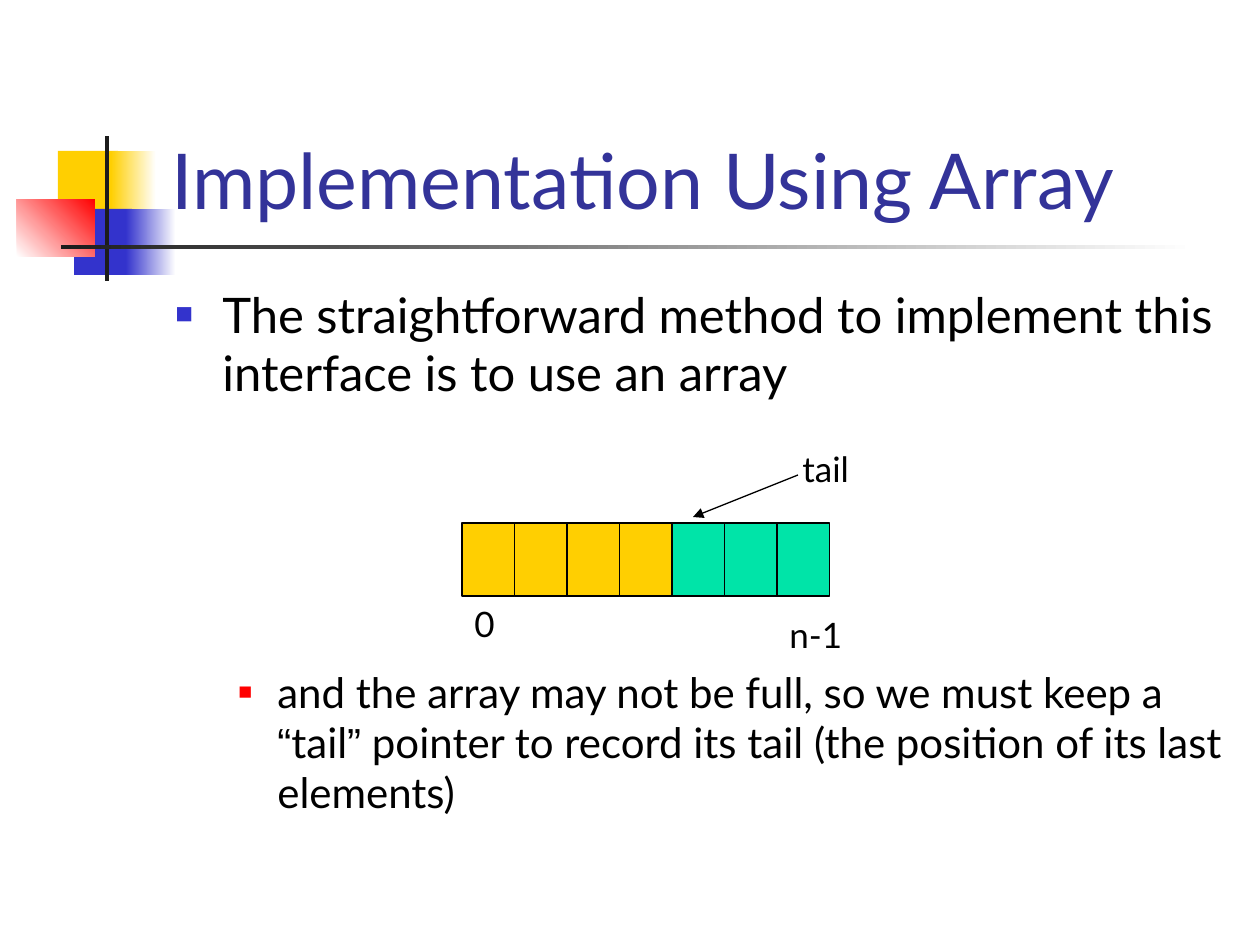
import pptx
import pptx.dml.color
import pptx.enum.shapes
import pptx.enum.text
import pptx.oxml.ns
import pptx.util
from lxml import etree

RGB = pptx.dml.color.RGBColor
BLACK = RGB(0x00, 0x00, 0x00)
WHITE = RGB(0xFF, 0xFF, 0xFF)
CHARCOAL = RGB(0x1C, 0x1C, 0x1C)
YELLOW = RGB(0xFF, 0xCF, 0x01)
GREEN = RGB(0x00, 0xE4, 0xA8)
BLUE = RGB(0x33, 0x33, 0xCC)
RED = RGB(0xFF, 0x00, 0x00)
TITLE_BLUE = RGB(0x33, 0x33, 0x99)

EMU_PER_PX = 914400 / 126
CELL_LEFT, CELL_TOP, CELL_HEIGHT = 462, 523, 73
CELL_PITCH = 52.5
USED_CELLS, FREE_CELLS = 4, 3


def px(length):
    return pptx.util.Emu(round(length * EMU_PER_PX))


def add_child(parent, tag, **attributes):
    return etree.SubElement(parent, pptx.oxml.ns.qn(tag), **attributes)


def add_block(slide, left, top, width, height, *colours, angle=0, outline=None):
    """Add a rectangle with one colour, or a gradient between two."""
    block = slide.shapes.add_shape(
        pptx.enum.shapes.MSO_SHAPE.RECTANGLE,
        px(left), px(top), px(width), px(height))
    block.shadow.inherit = False
    if len(colours) == 1:
        block.fill.solid()
        block.fill.fore_color.rgb = colours[0]
    else:
        block.fill.gradient()
        block.fill.gradient_angle = angle
        for stop, colour, position in zip(block.fill.gradient_stops, colours, (0, 1)):
            stop.color.rgb = colour
            stop.position = position
    if outline is None:
        block.line.fill.background()
    else:
        block.line.color.rgb = outline
        block.line.width = pptx.util.Pt(0.75)


def add_frame(slide, left, top, width, height, anchor=pptx.enum.text.MSO_ANCHOR.TOP):
    frame = slide.shapes.add_textbox(px(left), px(top), px(width), px(height)).text_frame
    frame.word_wrap = True
    frame.vertical_anchor = anchor
    return frame


def write_text(paragraph, text, size=20, colour=BLACK, font="Lato"):
    run = paragraph.add_run()
    run.text = text
    run.font.size = pptx.util.Pt(size)
    run.font.name = font
    run.font.color.rgb = colour


def set_bullet(paragraph, colour, percent, margin, hanging):
    properties = paragraph._p.get_or_add_pPr()
    properties.set("marL", str(px(margin)))
    properties.set("indent", str(-px(hanging)))
    add_child(add_child(properties, "a:buClr"), "a:srgbClr", val=str(colour))
    add_child(properties, "a:buSzPct", val=str(percent * 1000))
    add_child(properties, "a:buFont", typeface="Arial")
    add_child(properties, "a:buChar", char="■")


def add_arrow(slide, start, end):
    arrow = slide.shapes.add_connector(
        pptx.enum.shapes.MSO_CONNECTOR.STRAIGHT, *map(px, start + end))
    arrow.line.color.rgb = BLACK
    arrow.line.width = pptx.util.Pt(0.75)
    add_child(arrow.line._get_or_add_ln(), "a:tailEnd", type="triangle")
    add_child(arrow._element.spPr, "a:effectLst")


def add_decoration(slide):
    add_block(slide, 58, 151, 60, 66, YELLOW)
    add_block(slide, 111, 151, 45, 66, YELLOW, WHITE)
    add_block(slide, 74, 209, 58, 66, BLUE)
    add_block(slide, 126, 209, 50, 66, BLUE, WHITE)
    add_block(slide, 17, 199, 78, 58, WHITE, RED, angle=45)
    add_block(slide, 105, 136, 4, 145, CHARCOAL)
    add_block(slide, 61, 245, 1134, 4, CHARCOAL, WHITE)


def add_body(slide):
    frame = add_frame(slide, 163, 278, 1071, 567)
    method = frame.paragraphs[0]
    set_bullet(method, BLUE, 60, margin=47, hanging=47)
    write_text(method, "The straightforward method to implement this "
               "interface is to use an array", size=28)

    # The space before this point leaves room for the array diagram
    tail_note = frame.add_paragraph()
    set_bullet(tail_note, RED, 55, margin=102, hanging=39)
    tail_note.space_before = pptx.util.Pt(151)
    for text, font in (
            ("and the array may not be full, so we must keep a ", "Lato"),
            ("“", "Arial"), ("tail", "Lato"), ("”", "Arial"),
            (" pointer to record its tail (the position of its last elements)", "Lato")):
        write_text(tail_note, text, size=24, font=font)


def add_array(slide):
    cell_colours = [YELLOW] * USED_CELLS + [GREEN] * FREE_CELLS
    for index, colour in enumerate(cell_colours):
        add_block(slide, CELL_LEFT + index * CELL_PITCH, CELL_TOP,
                  CELL_PITCH, CELL_HEIGHT, colour, outline=BLACK)
    for label, left, top, width in (
            ("0", 462, 596, 42), ("n-1", 777, 607, 94), ("tail", 790, 441, 113)):
        write_text(add_frame(slide, left, top, width, 54).paragraphs[0], label)
    add_arrow(slide, (798, 475), (693, 517))


def main():
    presentation = pptx.Presentation()
    presentation.slide_width, presentation.slide_height = px(1260), px(945)
    slide = presentation.slides.add_slide(presentation.slide_layouts[6])

    add_decoration(slide)

    # Title
    title = add_frame(slide, 159, 29, 1074, 202, pptx.enum.text.MSO_ANCHOR.BOTTOM)
    write_text(title.paragraphs[0], "Implementation Using Array",
               size=44, colour=TITLE_BLUE)

    add_body(slide)
    add_array(slide)
    presentation.save("out.pptx")


if __name__ == "__main__":
    main()
